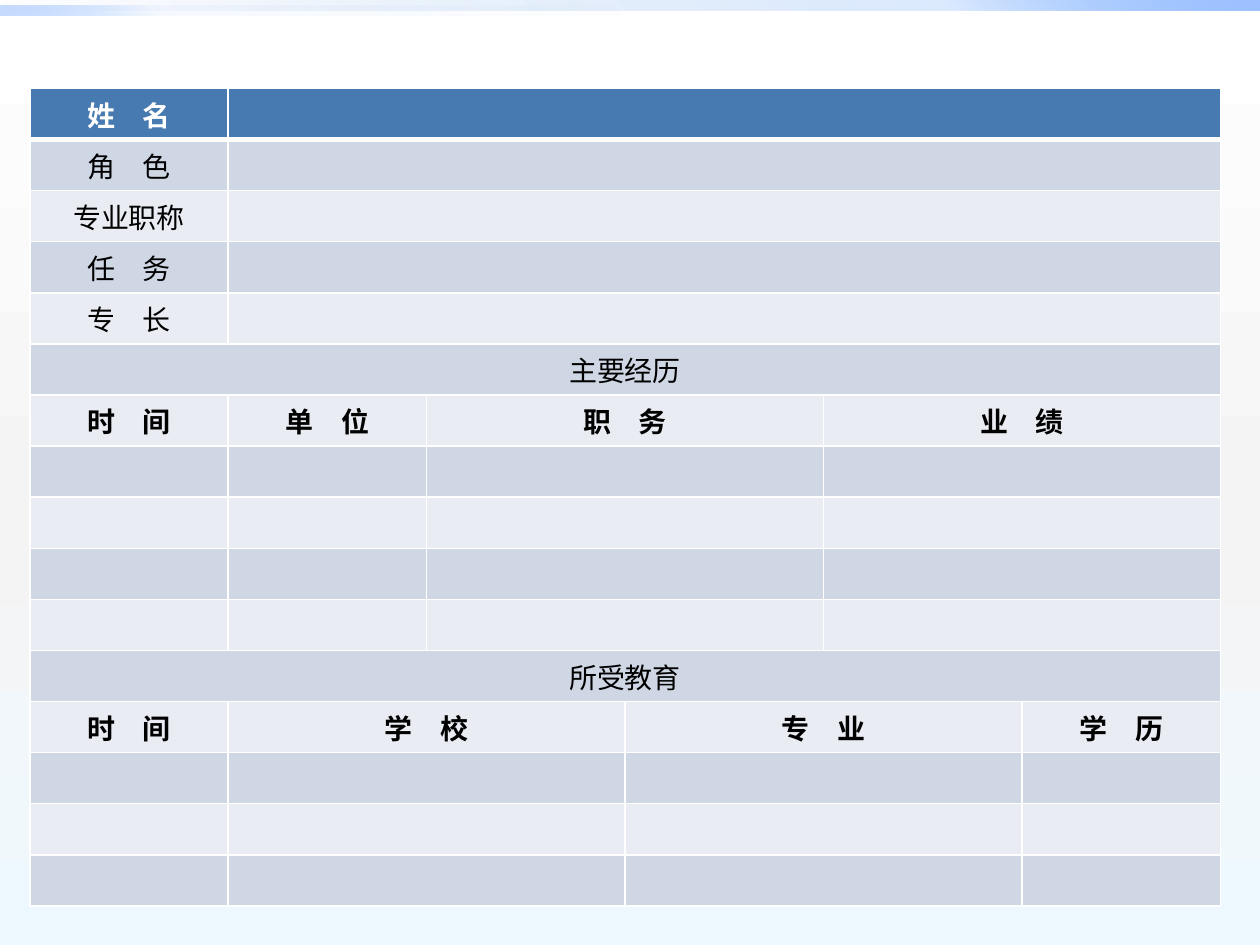
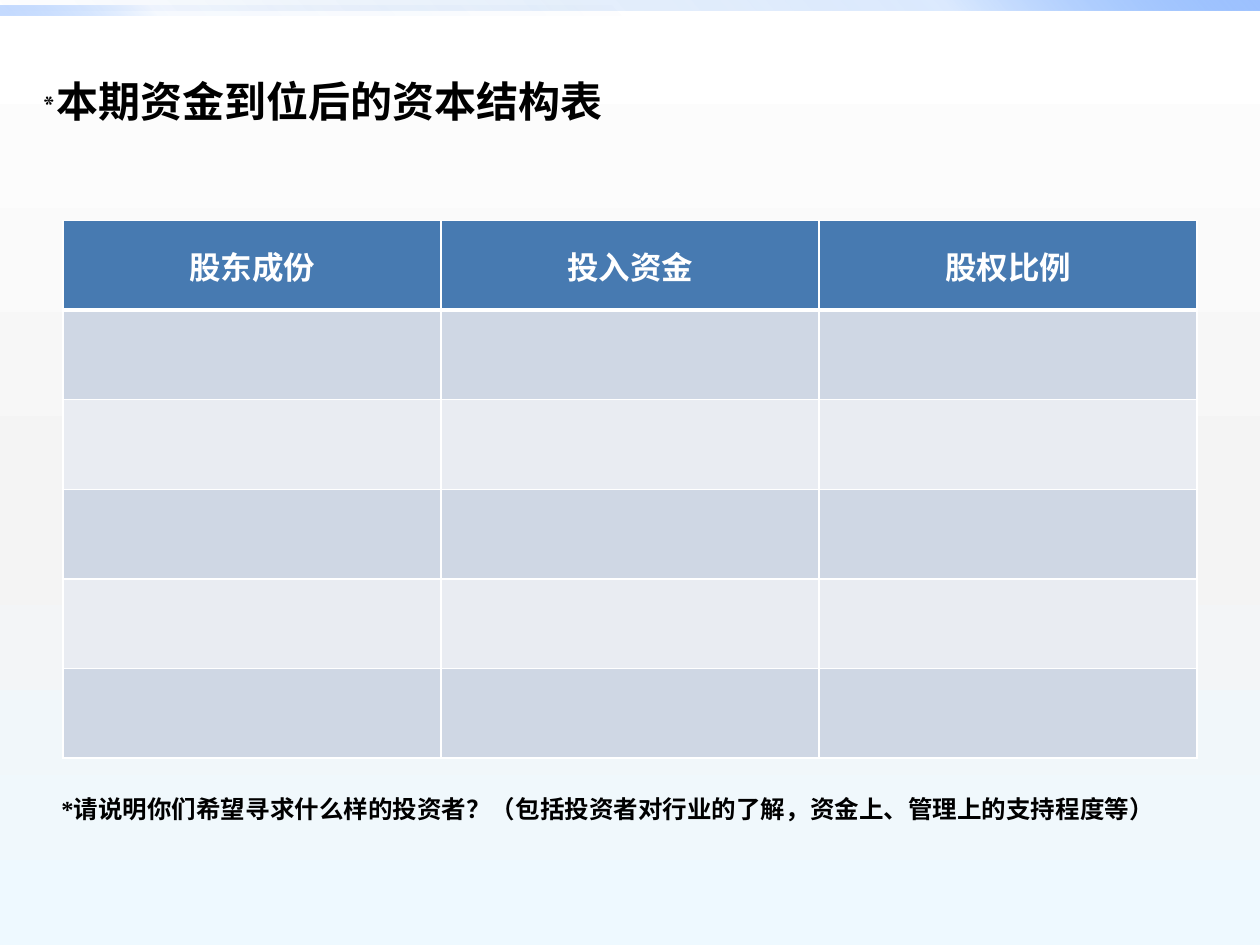
from dataclasses import dataclass

from lxml import etree
from pptx import Presentation
from pptx.dml.color import RGBColor
from pptx.enum.shapes import MSO_SHAPE as Preset
from pptx.enum.text import MSO_ANCHOR as Anchor, MSO_AUTO_SIZE as AutoSize, PP_ALIGN as Align
from pptx.oxml import parse_xml
from pptx.oxml.ns import nsdecls, qn
from pptx.util import Pt


@dataclass(frozen=True)
class Theme:
    header: str = "477AB1"
    dark_band: str = "CFD7E4"
    light_band: str = "E9ECF2"
    white: str = "FFFFFF"
    black: str = "000000"
    profile_font: str = "Arial"
    capital_font: str = "Times New Roman"
    title_font: str = "Cambria"
    profile_size: int = 16
    capital_size: int = 18
    title_size: int = 24
    star_size: int = 18
    note_size: int = 14
    # Gradient stops: position %, colour, opacity %
    backdrop: tuple = ((0, "FFFFFF", 100), (55, "F4F4F4", 100), (100, "EEF9FF", 100))
    top_band: tuple = ((0, "0058B7", 0), (75, "4F95FF", 20), (100, "9EC2FF", 100))
    left_band: tuple = ((0, "0058B7", 0), (75, "4F95FF", 5), (100, "9EC2FF", 60))


theme = Theme()


def set_gradient(fill, properties, stops, angle):
    """Give the fill three stops, which the public gradient cannot hold."""
    fill.gradient()
    old = properties.find(qn("a:gradFill"))
    stop_xml = "".join(
        f'<a:gs pos="{place * 1000}"><a:srgbClr val="{colour}">'
        f'<a:alpha val="{opacity * 1000}"/></a:srgbClr></a:gs>'
        for place, colour, opacity in stops)
    properties.replace(old, parse_xml(
        f'<a:gradFill {nsdecls("a")} rotWithShape="1"><a:gsLst>{stop_xml}</a:gsLst>'
        f'<a:lin ang="{angle * 60000}" scaled="0"/></a:gradFill>'))


def add_banded_table(slide, rows, columns, box, font_name, size, bold_rows):
    """Draw rows of (label, column span) with a header and two band colours."""
    table = slide.shapes.add_table(len(rows), columns, *map(Pt, box)).table
    table.horz_banding = False
    for row in table.rows:
        row.height = Pt(box[3] / len(rows))
    for r, row in enumerate(rows):
        band = theme.header if r == 0 else theme.dark_band if r % 2 else theme.light_band
        # Format every cell, so that merged ones keep their borders
        for c in range(columns):
            cell = table.cell(r, c)
            cell.margin_left = cell.margin_right = Pt(5)
            cell.margin_top = cell.margin_bottom = 0
            cell.vertical_anchor = Anchor.MIDDLE
            properties = cell._tc.get_or_add_tcPr()
            for side in ("lnL", "lnR", "lnT", "lnB"):
                heavy = (r, side) in ((0, "lnB"), (1, "lnT"))
                line = etree.SubElement(properties, qn(f"a:{side}"), w=str(Pt(3 if heavy else 1)))
                solid = etree.SubElement(line, qn("a:solidFill"))
                etree.SubElement(solid, qn("a:srgbClr"), val=theme.white)
            cell.fill.solid()
            cell.fill.fore_color.rgb = RGBColor.from_string(band)
            cell.text_frame.paragraphs[0].font.size = Pt(size)
        # Merge by span and write the labels
        start = 0
        for label, span in row:
            cell = table.cell(r, start)
            if span > 1:
                cell.merge(table.cell(r, start + span - 1))
            if label:
                cell.text_frame.text = label
                paragraph = cell.text_frame.paragraphs[0]
                paragraph.alignment = Align.CENTER
                font = paragraph.runs[0].font
                font.name, font.size, font.bold = font_name, Pt(size), r in bold_rows
                font.color.rgb = RGBColor.from_string(theme.white if r == 0 else theme.black)
            start += span


deck = Presentation()
deck.slide_width, deck.slide_height = Pt(720), Pt(540)
profile = deck.slides.add_slide(deck.slide_layouts.get_by_name("Blank"))
capital = deck.slides.add_slide(deck.slide_layouts.get_by_name("Title Only"))

# Shared background and top bands, kept on the master
master = deck.slide_master
backdrop = master.background.fill
set_gradient(backdrop, master.element.cSld.find(qn("p:bg")).find(qn("p:bgPr")), theme.backdrop, 90)
bands = ((0, 0, 720, theme.top_band, 315), (0, 3, 360, theme.left_band, 135))
for depth, (left, top, width, stops, angle) in enumerate(bands):
    band = profile.shapes.add_shape(Preset.RECTANGLE, Pt(left), Pt(top), Pt(width), Pt(5.8))
    band.shadow.inherit = False
    band.line.fill.background()
    set_gradient(band.fill, band.element.spPr, stops, angle)
    master.shapes.element.insert(2 + depth, band.element)

# Slide 1: personal profile
wide_rows = [[(label, 1), ("", 5)] for label in ("姓　名", "角　色", "专业职称", "任　务", "专　长")]
career_spans, school_spans = (1, 1, 2, 2), (1, 2, 2, 1)
career_heads = ("时　间", "单　位", "职　务", "业　绩")
school_heads = ("时　间", "学　校", "专　业", "学　历")
profile_rows = [
    *wide_rows,
    [("主要经历", 6)],
    list(zip(career_heads, career_spans)),
    *[[("", span) for span in career_spans]] * 4,
    [("所受教育", 6)],
    list(zip(school_heads, school_spans)),
    *[[("", span) for span in school_spans]] * 3,
]
add_banded_table(profile, profile_rows, 6, (17, 50.5, 680.4, 467.2),
                 theme.profile_font, theme.profile_size, bold_rows=(0, 6, 12))

# Slide 2: capital structure
capital_rows = [[(head, 1) for head in ("股东成份", "投入资金", "股权比例")]] + [[("", 1)] * 3] * 5
add_banded_table(capital, capital_rows, 3, (36, 126, 648, 307.2),
                 theme.capital_font, theme.capital_size, bold_rows=(0,))

# Heading and investor note
heading = capital.shapes.title
heading.left, heading.top, heading.width, heading.height = Pt(16.8), Pt(39.6), Pt(438), Pt(36)
heading.text_frame.text = "*"
heading.text_frame.paragraphs[0].add_run().text = "本期资金到位后的资本结构表"
heading.text_frame.vertical_anchor = Anchor.TOP
heading.text_frame.auto_size = AutoSize.NONE
note = capital.shapes.add_textbox(Pt(28), Pt(450), Pt(644), Pt(24.5))
note.text_frame.text = "*请说明你们希望寻求什么样的投资者？（包括投资者对行业的了解，资金上、管理上的支持程度等）"
note.text_frame.vertical_anchor = Anchor.MIDDLE
note.text_frame.word_wrap = False
for words, font_name, sizes in (
        (heading, theme.title_font, (theme.star_size, theme.title_size)),
        (note, theme.capital_font, (theme.note_size,))):
    paragraph = words.text_frame.paragraphs[0]
    paragraph.alignment = Align.LEFT
    for run, size in zip(paragraph.runs, sizes):
        run.font.name, run.font.size, run.font.bold = font_name, Pt(size), True
        run.font.color.rgb = RGBColor.from_string(theme.black)

deck.save("out.pptx")
